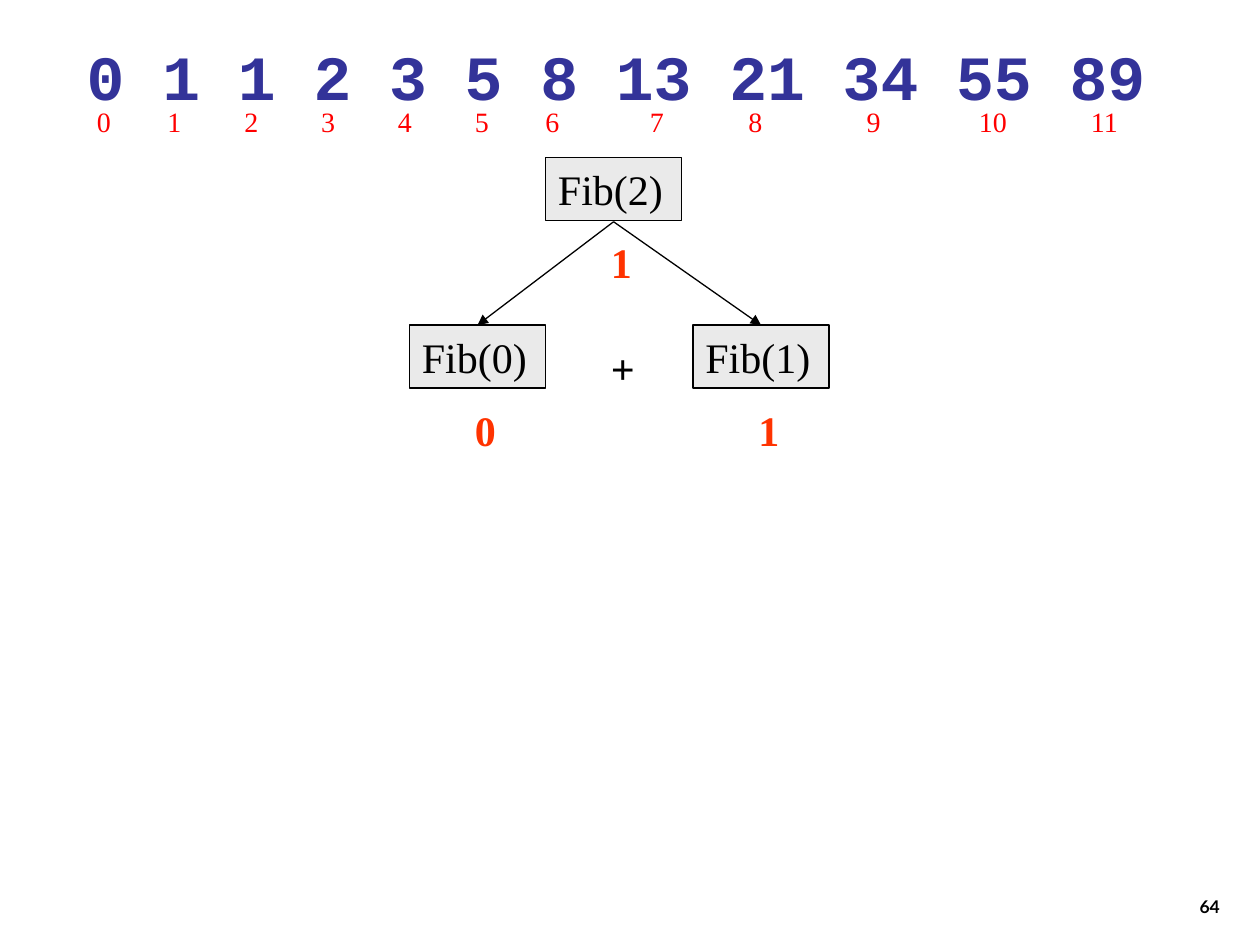
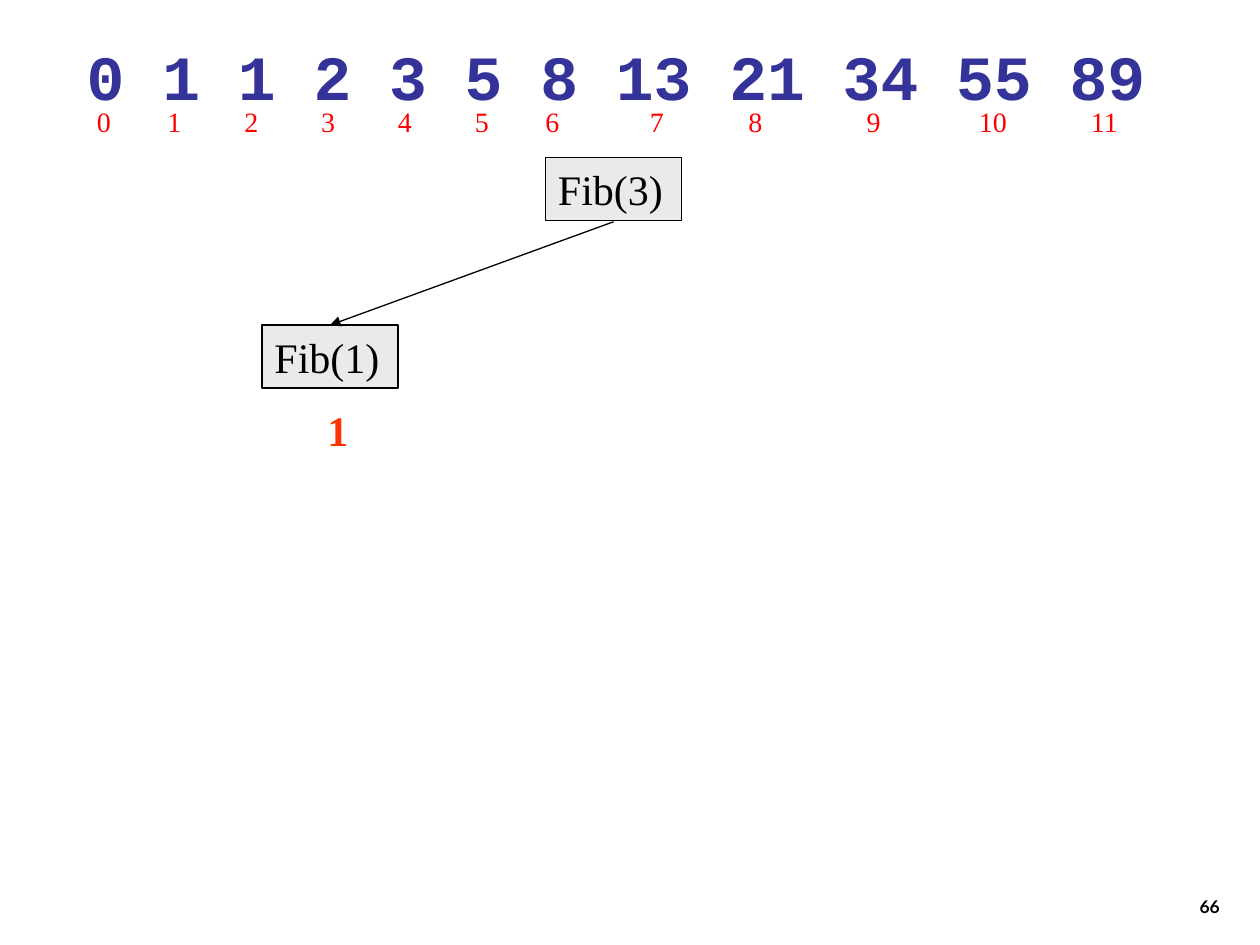
from lxml.etree import SubElement
from pptx import Presentation
from pptx.dml.color import RGBColor
from pptx.enum.shapes import MSO_CONNECTOR, MSO_SHAPE
from pptx.enum.text import MSO_ANCHOR, PP_ALIGN
from pptx.oxml.ns import qn
from pptx.util import Inches, Pt

BLACK = "000000"
SEQUENCE_BLUE = "333399"
INDEX_RED = "FF0000"
RESULT_RED = "FF3300"
CALL_GREY = "EAEAEA"
SERIF = "Times New Roman"

SEQUENCE = "0 1 1 2 3 5 8 13 21 34 55 89"
INDEX_STOPS = [0.56, 1.17, 1.78, 2.39, 3, 3.56, 4.39, 5.17, 6.11, 7, 7.89]

CALL_WIDTH, CALL_HEIGHT = 1.08, 0.5
ROOT_LEFT, ROOT_TOP = 4.33, 1.25
CHILD_TOP = 2.58


def color(value):
    return RGBColor.from_string(value)


class FibonacciDeck:
    def __init__(self):
        self.presentation = Presentation()
        self.presentation.slide_width = Inches(10)
        self.presentation.slide_height = Inches(7.5)
        self.slide = None

    def add_slide(self, number):
        layout = self.presentation.slide_layouts[6]
        self.slide = self.presentation.slides.add_slide(layout)
        self.text(SEQUENCE, 0.59, 0.25, 8.9, 0.7, 36, SEQUENCE_BLUE,
                  "Courier New", bold=True, wrap=False)
        self.index_row()
        page = self.text(str(number), 7.7, 6.83, 2.08, 0.5, 10, BLACK, "Lato", bold=True)
        page.text_frame.vertical_anchor = MSO_ANCHOR.BOTTOM
        page.text_frame.paragraphs[0].alignment = PP_ALIGN.RIGHT

    def set_text(self, shape, content, size, hex_color, font=SERIF, bold=False, wrap=True):
        frame = shape.text_frame
        frame.text = content
        frame.word_wrap = wrap
        frame.vertical_anchor = MSO_ANCHOR.TOP
        paragraph = frame.paragraphs[0]
        paragraph.alignment = PP_ALIGN.LEFT
        for run in paragraph.runs:
            run.font.name = font
            run.font.size = Pt(size)
            run.font.bold = bold
            run.font.color.rgb = color(hex_color)

    def text(self, content, left, top, width, height, size, hex_color, font=SERIF,
             bold=False, wrap=True):
        shape = self.slide.shapes.add_textbox(
            Inches(left), Inches(top), Inches(width), Inches(height))
        self.set_text(shape, content, size, hex_color, font, bold, wrap)
        return shape

    def index_row(self):
        indexes = "\t".join(str(index) for index in range(len(INDEX_STOPS) + 1))
        shape = self.text(indexes, 0.67, 0.78, 8.42, 0.37, 16, INDEX_RED)
        properties = shape.text_frame.paragraphs[0]._p.get_or_add_pPr()
        tabs = SubElement(properties, qn("a:tabLst"))
        for stop in INDEX_STOPS:
            SubElement(tabs, qn("a:tab"), pos=str(Inches(stop)), algn="l")

    def call(self, argument, left, top, result=None):
        shape = self.slide.shapes.add_shape(
            MSO_SHAPE.RECTANGLE, Inches(left), Inches(top),
            Inches(CALL_WIDTH), Inches(CALL_HEIGHT))
        shape.shadow.inherit = False
        shape.fill.solid()
        shape.fill.fore_color.rgb = color(CALL_GREY)
        shape.line.color.rgb = color(BLACK)
        shape.line.width = Pt(0.75)
        self.set_text(shape, f"Fib({argument})", 24, BLACK)
        if result is not None:
            self.text(str(result), left + 0.42, top + 0.58, 0.42, 0.5, 24,
                      RESULT_RED, bold=True)

    def arrow_to_child(self, child_left):
        center = CALL_WIDTH / 2
        connector = self.slide.shapes.add_connector(
            MSO_CONNECTOR.STRAIGHT,
            Inches(ROOT_LEFT + center), Inches(ROOT_TOP + CALL_HEIGHT + 0.01),
            Inches(child_left + center), Inches(CHILD_TOP))
        connector.line.color.rgb = color(BLACK)
        connector.line.width = Pt(0.75)
        properties = connector._element.spPr
        SubElement(properties.find(qn("a:ln")), qn("a:tailEnd"), type="triangle")
        SubElement(properties, qn("a:effectLst"))

    def call_tree(self, argument, children, result=None):
        self.call(argument, ROOT_LEFT, ROOT_TOP, result)
        for child_argument, child_left, child_result in children:
            self.call(child_argument, child_left, CHILD_TOP, child_result)
            self.arrow_to_child(child_left)


def main():
    deck = FibonacciDeck()

    deck.add_slide(64)
    deck.call_tree(2, [(0, 3.25, 0), (1, 5.5, 1)], result=1)
    deck.text("+", 4.75, 2.67, 0.48, 0.5, 24, BLACK, bold=True)

    deck.add_slide(66)
    deck.call_tree(3, [(1, 2.08, 1)])

    deck.presentation.save("out.pptx")


if __name__ == "__main__":
    main()
